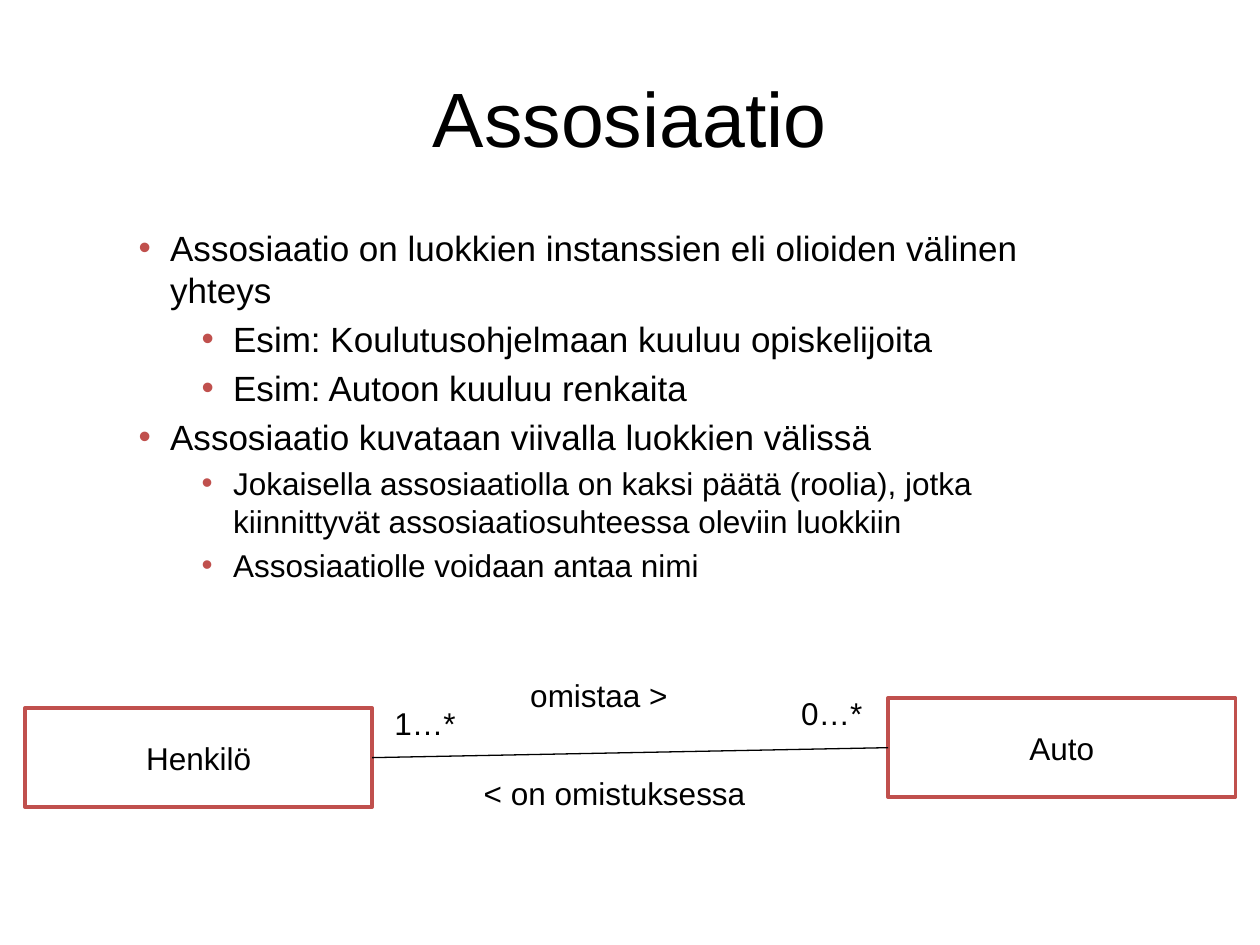
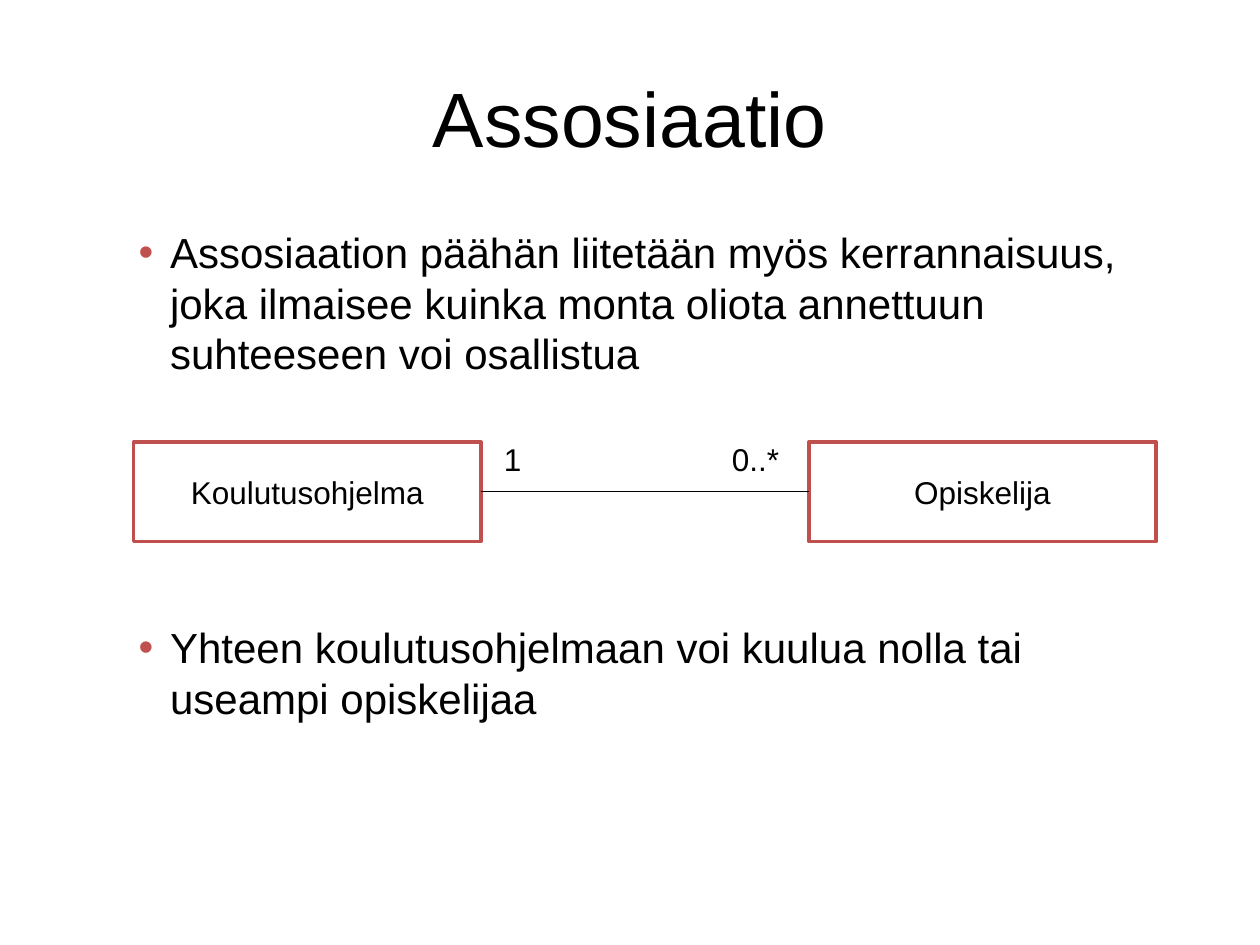
from lxml import etree
from pptx import Presentation
from pptx.dml.color import RGBColor
from pptx.enum.shapes import MSO_CONNECTOR, MSO_SHAPE
from pptx.enum.text import MSO_ANCHOR, MSO_AUTO_SIZE, PP_ALIGN
from pptx.oxml.ns import qn
from pptx.util import Pt

LEFT, CENTER = PP_ALIGN.LEFT, PP_ALIGN.CENTER
TOP, MIDDLE = MSO_ANCHOR.TOP, MSO_ANCHOR.MIDDLE
NO_AUTOFIT = MSO_AUTO_SIZE.NONE
RECTANGLE, STRAIGHT = MSO_SHAPE.RECTANGLE, MSO_CONNECTOR.STRAIGHT

COLORS = {"text": "000000", "accent": "C0504D", "paper": "FFFFFF"}
FONT = "Arial"
TITLE_AREA = (36, 21.6, 648, 90)
BODY_AREA = (0, 126, 648, 356.4)
CLASS_SIZE = (198.5, 56.7)
LABEL_HEIGHT = 29
LEFT_SITE, RIGHT_SITE = 1, 3


def color(name):
    return RGBColor.from_string(COLORS[name])


def place(shape, left, top, width, height):
    shape.left, shape.top = Pt(left), Pt(top)
    shape.width, shape.height = Pt(width), Pt(height)


def write(paragraph, text, size=18, align=LEFT):
    paragraph.alignment = align
    run = paragraph.add_run()
    run.text = text
    run.font.name = FONT
    run.font.size = Pt(size)
    run.font.color.rgb = color("text")


def set_frame(shape, anchor=TOP, wrap=True):
    frame = shape.text_frame
    frame.auto_size = NO_AUTOFIT
    frame.vertical_anchor = anchor
    frame.word_wrap = wrap
    return frame


def set_bullet(paragraph, indent):
    properties = paragraph._p.get_or_add_pPr()
    properties.set("marL", str(Pt(indent)))
    properties.set("indent", str(Pt(-18)))
    bullet_color = etree.SubElement(properties, qn("a:buClr"))
    etree.SubElement(bullet_color, qn("a:srgbClr"), val=COLORS["accent"])
    etree.SubElement(properties, qn("a:buFont"), typeface=FONT)
    etree.SubElement(properties, qn("a:buChar"), char="•")


def add_slide(presentation, title, bullets):
    """Add a titled slide; each bullet is (level, size, text, extra space above)."""
    slide = presentation.slides.add_slide(presentation.slide_layouts[1])
    heading, body = slide.placeholders
    place(heading, *TITLE_AREA)
    write(set_frame(heading, MIDDLE).paragraphs[0], title, size=44, align=CENTER)
    place(body, *BODY_AREA)
    frame = set_frame(body)
    for index, (level, size, text, gap) in enumerate(bullets):
        paragraph = frame.add_paragraph() if index else frame.paragraphs[0]
        paragraph.level = level
        paragraph.space_before = Pt(0.2 * size + gap)
        set_bullet(paragraph, 54 + 36 * level)
        write(paragraph, text, size=size)
    return slide


def add_class(slide, name, left, top):
    box = slide.shapes.add_shape(RECTANGLE, Pt(left), Pt(top), *map(Pt, CLASS_SIZE))
    box.shadow.inherit = False
    box.fill.solid()
    box.fill.fore_color.rgb = color("paper")
    box.line.color.rgb = color("accent")
    box.line.width = Pt(2)
    write(set_frame(box, MIDDLE, wrap=False).paragraphs[0], name, align=CENTER)
    return box


def add_association(slide, source, target):
    line = slide.shapes.add_connector(STRAIGHT, 0, 0, 0, 0)
    line.begin_connect(source, RIGHT_SITE)
    line.end_connect(target, LEFT_SITE)
    line.line.color.rgb = color("text")
    line.line.width = Pt(0.75)
    etree.SubElement(line._element.spPr, qn("a:effectLst"))


def add_label(slide, text, left, top, width):
    label = slide.shapes.add_textbox(Pt(left), Pt(top), Pt(width), Pt(LABEL_HEIGHT))
    write(set_frame(label, wrap=False).paragraphs[0], text)


def add_diagram(slide, classes, labels):
    source, target = [add_class(slide, *entry) for entry in classes]
    add_association(slide, source, target)
    for label in labels:
        add_label(slide, *label)


def main():
    presentation = Presentation()
    presentation.slide_width, presentation.slide_height = Pt(720), Pt(540)

    definition = add_slide(presentation, "Assosiaatio", [
        (1, 20, "Assosiaatio on luokkien instanssien eli olioiden välinen yhteys", 0),
        (2, 20, "Esim: Koulutusohjelmaan kuuluu opiskelijoita", 0),
        (2, 20, "Esim: Autoon kuuluu renkaita", 0),
        (1, 20, "Assosiaatio kuvataan viivalla luokkien välissä", 0),
        (2, 18, "Jokaisella assosiaatiolla on kaksi päätä (roolia), jotka "
                "kiinnittyvät assosiaatiosuhteessa oleviin luokkiin", 0),
        (2, 18, "Assosiaatiolle voidaan antaa nimi", 0),
    ])
    add_diagram(
        definition,
        [("Henkilö", 14.2, 404.6), ("Auto", 507.5, 398.9)],
        [("1…*", 218.2, 398.9, 49.7), ("0…*", 450.7, 393.1, 49.7),
         ("omistaa >", 295.9, 383, 92.9), ("< on omistuksessa", 269.3, 438.5, 164.2)],
    )

    multiplicity = add_slide(presentation, "Assosiaatio", [
        (1, 24, "Assosiaation päähän liitetään myös kerrannaisuus, joka ilmaisee "
                "kuinka monta oliota annettuun suhteeseen voi osallistua", 0),
        (1, 24, "Yhteen koulutusohjelmaan voi kuulua nolla tai useampi opiskelijaa", 134.4),
    ])
    add_diagram(
        multiplicity,
        [("Koulutusohjelma", 76.3, 252.7), ("Opiskelija", 462.2, 252.7)],
        [("1", 280.8, 247.7, 24.5), ("0..*", 411.1, 247.7, 41.8)],
    )

    presentation.save("out.pptx")


if __name__ == "__main__":
    main()
